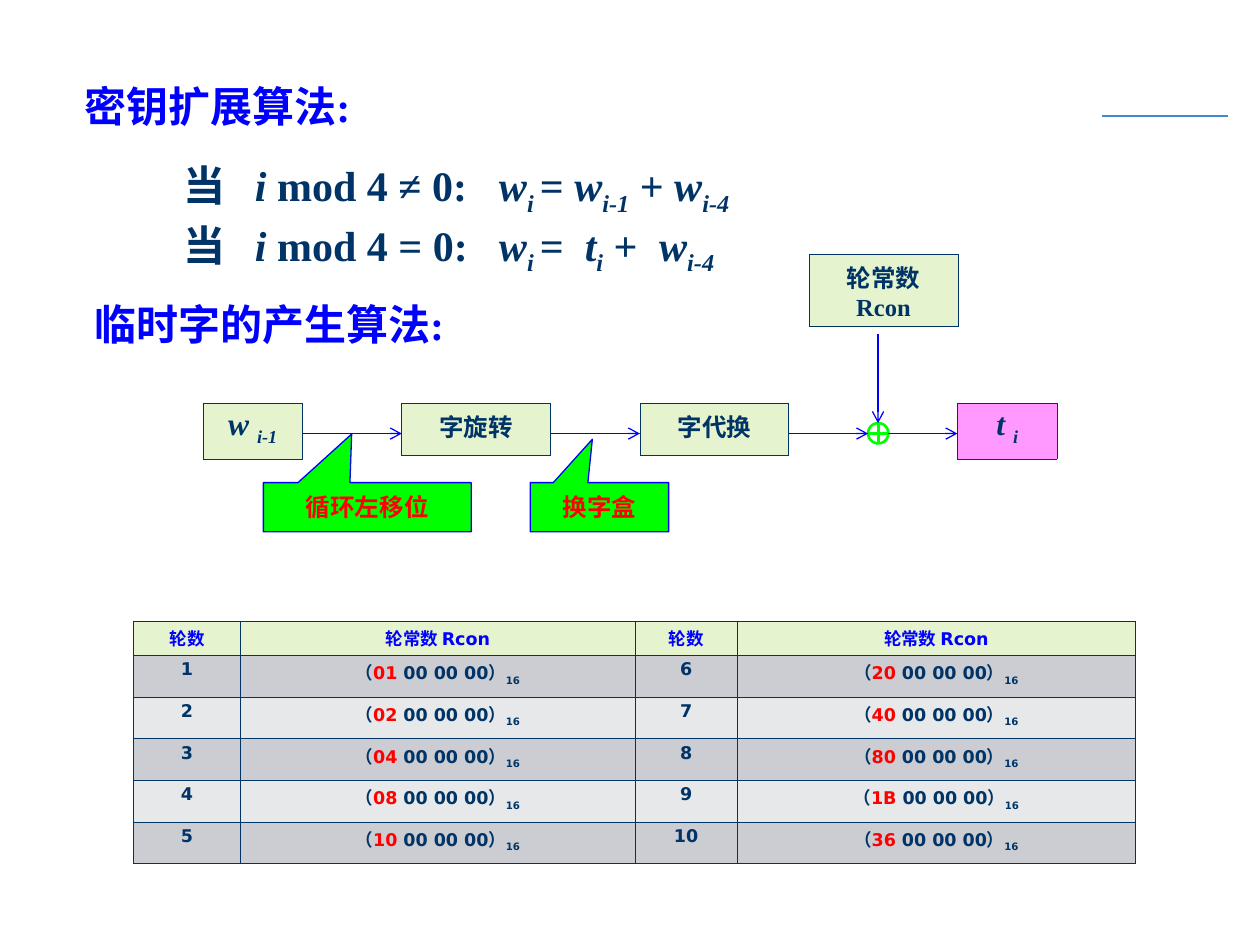
from typing import NamedTuple, Optional

from lxml.etree import SubElement
from pptx import Presentation
from pptx.dml.color import RGBColor
from pptx.enum.shapes import MSO_CONNECTOR, MSO_SHAPE
from pptx.enum.text import MSO_ANCHOR, MSO_AUTO_SIZE, PP_ALIGN
from pptx.oxml import parse_xml
from pptx.oxml.ns import nsdecls, qn
from pptx.util import Cm, Pt

NAVY = RGBColor(0x00, 0x33, 0x66)
BLUE = RGBColor(0x00, 0x00, 0xFF)
RED = RGBColor(0xFF, 0x00, 0x00)
GREEN = RGBColor(0x00, 0xFF, 0x00)
PINK = RGBColor(0xFF, 0x99, 0xFF)
WHITE = RGBColor(0xFF, 0xFF, 0xFF)
PALE_GREEN = RGBColor(0xE5, 0xF4, 0xCE)
DARK_BAND = RGBColor(0xCB, 0xCD, 0xD3)
LIGHT_BAND = RGBColor(0xE7, 0xE8, 0xEA)
RULE_BLUE = RGBColor(0x43, 0x8A, 0xCB)
SERIF = "Times New Roman"
SANS = "DejaVu Sans"


class Piece(NamedTuple):
    text: str
    italic: bool = False
    sub: bool = False
    color: Optional[RGBColor] = None


class Style(NamedTuple):
    size: float
    font: str
    color: RGBColor


class Formula(NamedTuple):
    top: float
    tabs: list
    pieces: list


class Step(NamedTuple):
    left: float
    top: float
    width: float
    height: float
    size: float
    fill: RGBColor
    lines: list


class Callout(NamedTuple):
    left: float
    width: float
    text: str
    tip: tuple


class Arrow(NamedTuple):
    x1: float
    y1: float
    x2: float
    y2: float


HEADING = Style(24, SERIF, BLUE)
FORMULA = Style(24, SERIF, NAVY)
FLOW_Y = 8.74
FORMULAS = [
    Formula(3.12, [1.43, 6.35], [
        Piece("当\t"), Piece("i ", True), Piece("mod 4 ≠ 0:\t"),
        Piece("w", True), Piece("i ", True, True), Piece("= "),
        Piece("w", True), Piece("i-1", True, True), Piece(" +"),
        Piece(" w", True), Piece("i-4", True, True)]),
    Formula(4.32, [1.43, 6.35, 8.08, 9.58], [
        Piece("当\t"), Piece("i ", True), Piece("mod 4 = 0:\t"),
        Piece("w", True), Piece("i ", True, True), Piece("=\t"),
        Piece("t", True), Piece("i", True, True), Piece(" +\t"),
        Piece("w", True), Piece("i-4", True, True)]),
]
STEPS = [
    Step(4.09, 8.13, 2.01, 1.12, 18, PALE_GREEN,
         [[Piece("w ", True), Piece("i-1", True, True)]]),
    Step(8.1, 8.13, 3, 1.04, 14, PALE_GREEN, [[Piece("字旋转")]]),
    Step(12.9, 8.13, 3, 1.04, 14, PALE_GREEN, [[Piece("字代换")]]),
    Step(19.3, 8.13, 2.01, 1.12, 18, PINK,
         [[Piece("t ", True), Piece("i", True, True)]]),
    Step(16.31, 5.13, 3, 1.45, 14, PALE_GREEN,
         [[Piece("轮常数")], [Piece("Rcon")]]),
]
ARROWS = [Arrow(x1, FLOW_Y, x2, FLOW_Y) for x1, x2 in
          [(6.1, 8.1), (11.1, 12.9), (15.9, 17.5), (17.91, 19.3)]]
ARROWS.append(Arrow(17.7, 6.73, 17.7, 8.53))
CALLOUTS = [Callout(5.31, 4.19, "循环左移位", (-0.075, -1.49)),
            Callout(10.69, 2.79, "换字盒", (-0.051, -1.383))]
ROUND_CONSTANTS = ["01", "02", "04", "08", "10", "20", "40", "80", "1B", "36"]


def write(paragraph, pieces: list, style: Style, align=PP_ALIGN.LEFT) -> None:
    paragraph.alignment = align
    for piece in pieces:
        run = paragraph.add_run()
        run.text = piece.text
        font = run.font
        font.size, font.name, font.bold = Pt(style.size), style.font, True
        font.italic = piece.italic
        font.color.rgb = piece.color or style.color
        if piece.sub:
            run._r.get_or_add_rPr().set("baseline", "-25000")


def set_frame(frame) -> None:
    frame.word_wrap = True
    frame.auto_size = MSO_AUTO_SIZE.NONE
    frame.vertical_anchor = MSO_ANCHOR.TOP
    frame.margin_left = frame.margin_right = Cm(0.2)
    frame.margin_top = frame.margin_bottom = Cm(0.1)


def add_text(slide, left: float, top: float, width: float, height: float):
    box = slide.shapes.add_textbox(Cm(left), Cm(top), Cm(width), Cm(height))
    set_frame(box.text_frame)
    return box.text_frame.paragraphs[0]


def add_tabs(paragraph, stops: list) -> None:
    tabs = SubElement(paragraph._p.get_or_add_pPr(), qn("a:tabLst"))
    for stop in stops:
        SubElement(tabs, qn("a:tab"), pos=str(int(Cm(stop))), algn="l")


def add_grid(slide, left: float, top: float, widths: list, heights: list):
    table = slide.shapes.add_table(
        len(heights), len(widths), Cm(left), Cm(top),
        Cm(sum(widths)), Cm(sum(heights))).table
    table.first_row = table.horz_banding = False
    for column, width in zip(table.columns, widths):
        column.width = Cm(width)
    for row, height in zip(table.rows, heights):
        row.height = Cm(height)
    return table


def fill_cell(cell, lines: list, style: Style, fill: RGBColor) -> None:
    cell.margin_top = cell.margin_bottom = Cm(0.09)
    cell.fill.solid()
    cell.fill.fore_color.rgb = fill
    for index, side in enumerate(("lnL", "lnR", "lnT", "lnB")):
        cell._tc.get_or_add_tcPr().insert(index, parse_xml(
            f'<a:{side} {nsdecls("a")} w="{int(Pt(0.45))}"><a:solidFill>'
            f'<a:srgbClr val="{NAVY}"/></a:solidFill></a:{side}>'))
    for index, pieces in enumerate(lines):
        frame = cell.text_frame
        paragraph = frame.add_paragraph() if index else frame.paragraphs[0]
        write(paragraph, pieces, style, PP_ALIGN.CENTER)


def add_line(slide, line: Arrow, color: RGBColor, head: bool = True) -> None:
    connector = slide.shapes.add_connector(
        MSO_CONNECTOR.STRAIGHT, Cm(line.x1), Cm(line.y1), Cm(line.x2), Cm(line.y2))
    connector.line.color.rgb = color
    connector.line.width = Pt(0.75)
    if head:
        SubElement(connector.line._get_or_add_ln(), qn("a:tailEnd"), type="arrow")
    SubElement(connector._element.spPr, qn("a:effectLst"))


def add_figure(slide, kind, left: float, top: float, width: float, height: float,
               fill: RGBColor, line: RGBColor, weight: float):
    figure = slide.shapes.add_shape(kind, Cm(left), Cm(top), Cm(width), Cm(height))
    figure.shadow.inherit = False
    figure.fill.solid()
    figure.fill.fore_color.rgb = fill
    figure.line.color.rgb = line
    figure.line.width = Pt(weight)
    return figure


def main() -> None:
    prs = Presentation()
    prs.slide_width, prs.slide_height = Cm(25.4), Cm(19.05)
    slide = prs.slides.add_slide(prs.slide_layouts[5])

    # Headings and formulas
    add_line(slide, Arrow(22.22, 2.34, 24.76, 2.34), RULE_BLUE, head=False)
    title = slide.shapes.title
    title.left, title.top, title.width, title.height = map(Cm, (1.5, 1.52, 12, 1.22))
    set_frame(title.text_frame)
    write(title.text_frame.paragraphs[0], [Piece("密钥扩展算法:")], HEADING)
    for formula in FORMULAS:
        paragraph = add_text(slide, 3.51, formula.top, 15, 1.37)
        add_tabs(paragraph, formula.tabs)
        write(paragraph, formula.pieces, FORMULA)
    write(add_text(slide, 1.7, 5.92, 12, 1.22), [Piece("临时字的产生算法:")], HEADING)

    # Flow of the temporary word
    for step in STEPS:
        box = add_grid(slide, step.left, step.top, [step.width], [step.height])
        fill_cell(box.cell(0, 0), step.lines, Style(step.size, SERIF, NAVY), step.fill)
    add_figure(slide, MSO_SHAPE.FLOWCHART_OR, 17.5, 8.53, 0.41, 0.41, WHITE, GREEN, 1.5)
    for arrow in ARROWS:
        add_line(slide, arrow, BLUE)
    for callout in CALLOUTS:
        note = add_figure(slide, MSO_SHAPE.RECTANGULAR_CALLOUT, callout.left, 9.73,
                          callout.width, 0.99, GREEN, BLUE, 0.75)
        note.adjustments[0], note.adjustments[1] = callout.tip
        note.text_frame.vertical_anchor = MSO_ANCHOR.MIDDLE
        write(note.text_frame.paragraphs[0], [Piece(callout.text)],
              Style(14, SANS, RED), PP_ALIGN.CENTER)

    # Round constants, five rounds in each half
    rounds = add_grid(slide, 2.69, 12.52, [2.16, 7.95, 2.06, 8.03], [0.69] + [0.84] * 5)
    for column, label in enumerate(["轮数", "轮常数 Rcon"] * 2):
        fill_cell(rounds.cell(0, column), [[Piece(label)]], Style(10, SANS, BLUE), PALE_GREEN)
    for index, constant in enumerate(ROUND_CONSTANTS):
        half, row = divmod(index, 5)
        value = [Piece("（"), Piece(constant + " ", color=RED),
                 Piece("00 00 00）"), Piece("16", sub=True)]
        for offset, pieces in enumerate([[Piece(str(index + 1))], value]):
            fill_cell(rounds.cell(row + 1, 2 * half + offset), [pieces],
                      Style(10, SANS, NAVY), LIGHT_BAND if row % 2 else DARK_BAND)

    prs.save("out.pptx")


if __name__ == "__main__":
    main()
